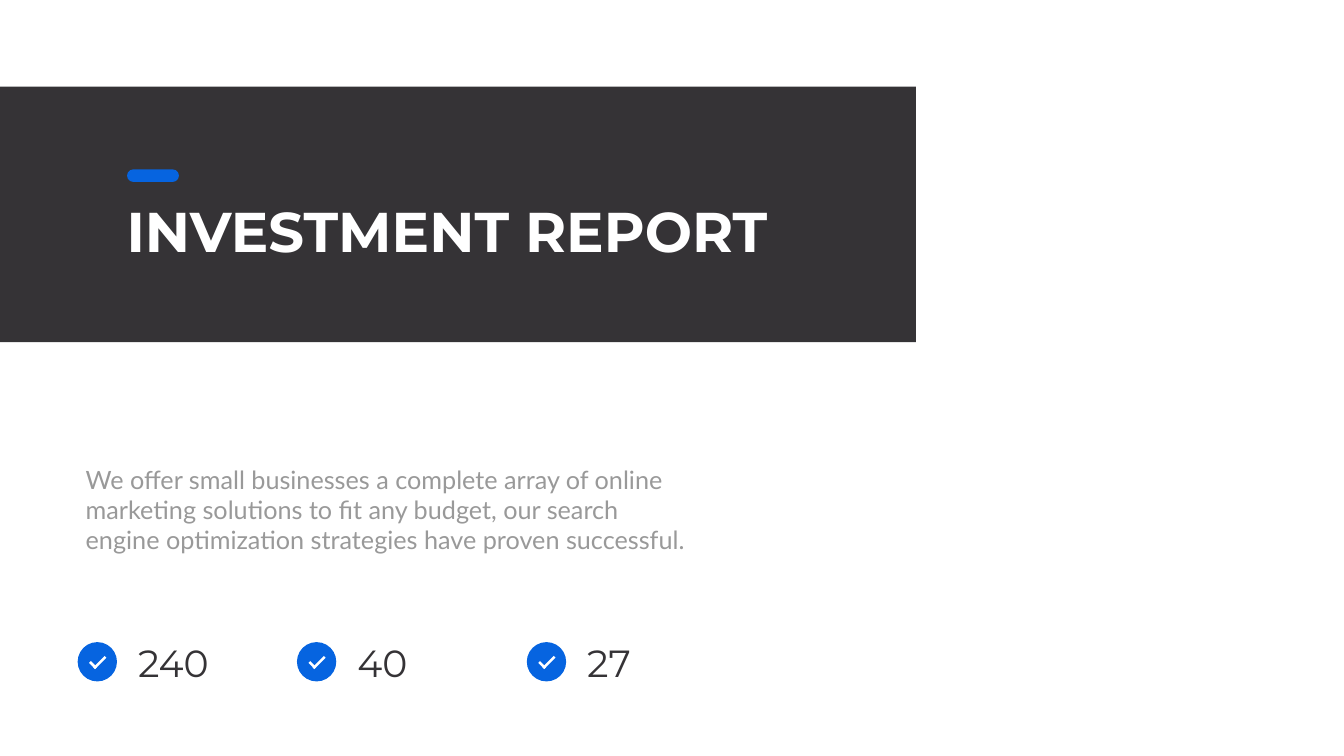
from dataclasses import dataclass
from pptx import Presentation
from pptx.dml.color import RGBColor
from pptx.enum.shapes import MSO_SHAPE
from pptx.enum.text import MSO_ANCHOR, MSO_AUTO_SIZE, PP_ALIGN
from pptx.util import Inches, Pt


@dataclass(frozen=True)
class Theme:
    dark: str = "353336"
    blue: str = "0664E0"
    white: str = "FFFFFF"
    gray: str = "999999"
    head: str = "Montserrat"
    body: str = "Lato"
    title: int = 80
    count: int = 54
    text: int = 36


theme = Theme()


def add_block(shapes, kind, box, color, turn=0):
    shape = shapes.add_shape(kind, *map(Inches, box))
    shape.shadow.inherit = False
    shape.fill.solid()
    shape.fill.fore_color.rgb = RGBColor.from_string(color)
    shape.line.fill.background()
    shape.rotation = turn
    return shape


def set_text(shape, text, font, size, color, bold=False):
    frame = shape.text_frame
    frame.text = text
    frame.word_wrap = True
    frame.auto_size = MSO_AUTO_SIZE.SHAPE_TO_FIT_TEXT
    frame.vertical_anchor = MSO_ANCHOR.TOP
    line = frame.paragraphs[0]
    line.alignment = PP_ALIGN.LEFT
    style = line.runs[0].font
    style.name = font
    style.size = Pt(size)
    style.bold = bold
    style.color.rgb = RGBColor.from_string(color)
    return frame


deck = Presentation()
deck.slide_width = Inches(26.66)
deck.slide_height = Inches(15)
slide = deck.slides.add_slide(deck.slide_layouts[5])
shapes = slide.shapes

band = add_block(shapes, MSO_SHAPE.RECTANGLE, (0, 1.72, 18.17, 5.07), theme.dark)
title = shapes.title
band._element.addnext(title._element)
title.left, title.top = Inches(2.41), Inches(3.85)
title.width, title.height = Inches(14.13), Inches(1.45)
set_text(title, "INVESTMENT REPORT", theme.head, theme.title, theme.white, True)

accent = add_block(shapes, MSO_SHAPE.ROUNDED_RECTANGLE, (2.52, 3.36, 1.03, 0.25), theme.blue)
accent.adjustments[0] = 0.5

intro = shapes.add_textbox(Inches(1.46), Inches(9.09), Inches(12.37), Inches(2.06))
frame = set_text(
    intro,
    "We offer small businesses a complete array of online marketing solutions "
    "to fit any budget, our search engine optimization strategies have proven successful.",
    theme.body, theme.text, theme.gray,
)
frame.margin_left = frame.margin_right = Inches(0.24)
frame.margin_top = frame.margin_bottom = Inches(0.12)

for left, count in ((1.54, "240"), (5.89, "40"), (10.45, "27")):
    group = shapes.add_group_shape().shapes
    add_block(group, MSO_SHAPE.OVAL, (left, 12.74, 0.78, 0.78), theme.blue)
    add_block(group, MSO_SHAPE.RECTANGLE, (left + 0.22, 13.17, 0.17, 0.05), theme.white, 45)
    add_block(group, MSO_SHAPE.RECTANGLE, (left + 0.28, 13.12, 0.32, 0.05), theme.white, 315)
    label = group.add_textbox(Inches(left + 1.1), Inches(12.64), Inches(2.33), Inches(1.01))
    set_text(label, count, theme.head, theme.count, theme.dark)

deck.save("out.pptx")
